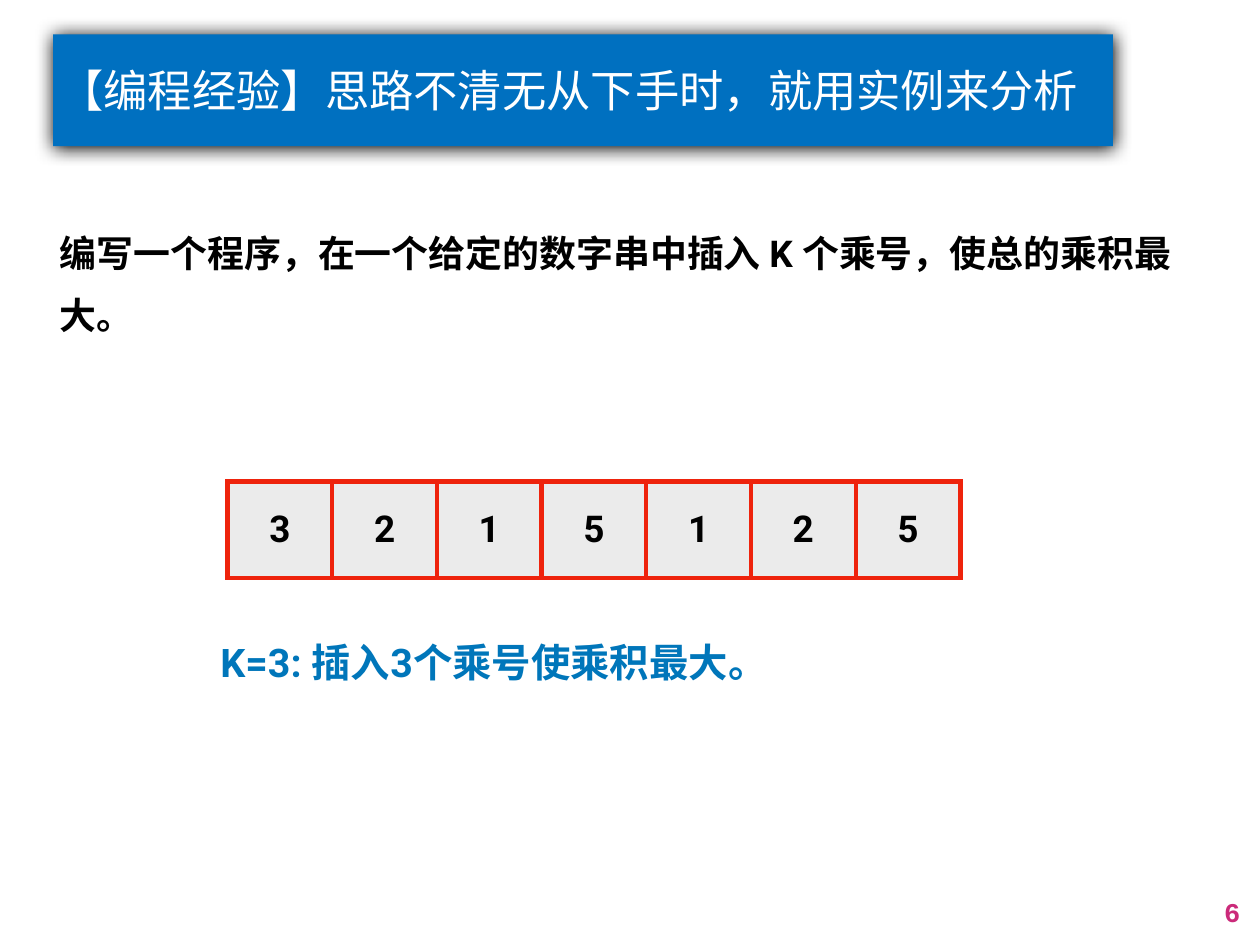
from lxml.etree import SubElement
from pptx import Presentation
from pptx.dml.color import RGBColor
from pptx.enum.text import MSO_ANCHOR as Anchor, MSO_AUTO_SIZE as AutoSize, PP_ALIGN as Align
from pptx.oxml import parse_xml
from pptx.oxml.ns import nsdecls, qn
from pptx.util import Pt

TITLE = "【编程经验】思路不清无从下手时，就用实例来分析"
TASK = "编写一个程序，在一个给定的数字串中插入 K 个乘号，使总的乘积最大。"
DIGITS = ["3", "2", "1", "5", "1", "2", "5"]
HINT = "K=3: 插入3个乘号使乘积最大。"
PAGE_NUMBER = "6"

COLORS = {
    "banner": "0070C0", "white": "FFFFFF", "black": "000000", "hint": "0076BA",
    "page": "CB2A7A", "cell": "EBEBEB", "border": "EE230C",
}
LATIN_FONT, CHINESE_FONT = "Roboto", "Noto Sans CJK SC"

# left, top, width, height in points
TITLE_BOX = (43.2, 28, 861.2, 90.7)
TASK_BOX = (44, 198.7, 940, 49.7)
TABLE_BOX = (185, 391.4, 595.5, 78.5)
HINT_BOX = (174.6, 511.2, 430, 53.3)
PAGE_BOX = (988.5, 723, 24.5, 36)
BORDER_WIDTH = 4


def rgb(name):
    return RGBColor.from_string(COLORS[name])


def write_text(frame, text, size, color, bold=True, font=LATIN_FONT, align=Align.LEFT,
               anchor=Anchor.MIDDLE, inset=4.5, spacing=None, wrap=True):
    frame.word_wrap = wrap
    frame.vertical_anchor = anchor
    frame.margin_left = frame.margin_right = Pt(inset)
    frame.margin_top = frame.margin_bottom = Pt(inset)
    paragraph = frame.paragraphs[0]
    paragraph.alignment = align
    if spacing:
        paragraph.line_spacing = spacing
    run = paragraph.add_run()
    run.text = text
    run.font.size, run.font.bold, run.font.name = Pt(size), bold, font
    run.font.color.rgb = rgb(color)
    SubElement(run.font._element, qn("a:ea"), typeface=CHINESE_FONT)


def add_text(slide, box, text, **text_format):
    shape = slide.shapes.add_textbox(*map(Pt, box))
    write_text(shape.text_frame, text, **text_format)


def add_banner_title(slide):
    title = slide.shapes.title
    title.left, title.top, title.width, title.height = map(Pt, TITLE_BOX)
    title.fill.solid()
    title.fill.fore_color.rgb = rgb("banner")
    title._element.spPr.append(parse_xml(
        f'<a:effectLst {nsdecls("a")}><a:outerShdw blurRad="{Pt(15)}" dist="{Pt(0.7)}" '
        f'dir="5400000" rotWithShape="0"><a:srgbClr val="{COLORS["black"]}"/>'
        '</a:outerShdw></a:effectLst>'))
    title.text_frame.auto_size = AutoSize.NONE
    write_text(title.text_frame, TITLE, size=36, color="white", bold=False, inset=5)


def set_borders(cell):
    properties = cell._tc.get_or_add_tcPr()
    for index, side in enumerate(("lnL", "lnR", "lnT", "lnB")):
        properties.insert(index, parse_xml(
            f'<a:{side} {nsdecls("a")} w="{Pt(BORDER_WIDTH)}"><a:solidFill>'
            f'<a:srgbClr val="{COLORS["border"]}"/></a:solidFill></a:{side}>'))


def add_digit_table(slide):
    table = slide.shapes.add_table(1, len(DIGITS), *map(Pt, TABLE_BOX)).table
    table.first_row = table.horz_banding = False
    for cell, digit in zip(table.iter_cells(), DIGITS):
        write_text(cell.text_frame, digit, size=30, color="black", align=Align.CENTER)
        cell.vertical_anchor = Anchor.MIDDLE
        cell.margin_left = cell.margin_right = cell.margin_top = cell.margin_bottom = Pt(4.5)
        cell.fill.solid()
        cell.fill.fore_color.rgb = rgb("cell")
        set_borders(cell)


def main():
    presentation = Presentation()
    presentation.slide_width, presentation.slide_height = Pt(1024), Pt(768)
    slide = presentation.slides.add_slide(presentation.slide_layouts[5])
    add_banner_title(slide)
    add_text(slide, TASK_BOX, TASK, size=30, color="black", spacing=1.4)
    add_digit_table(slide)
    add_text(slide, HINT_BOX, HINT, size=32, color="hint")
    add_text(slide, PAGE_BOX, PAGE_NUMBER, size=22, color="page", font="Courier New",
             align=Align.RIGHT, anchor=Anchor.TOP, inset=5, wrap=False)
    presentation.save("out.pptx")


if __name__ == "__main__":
    main()
